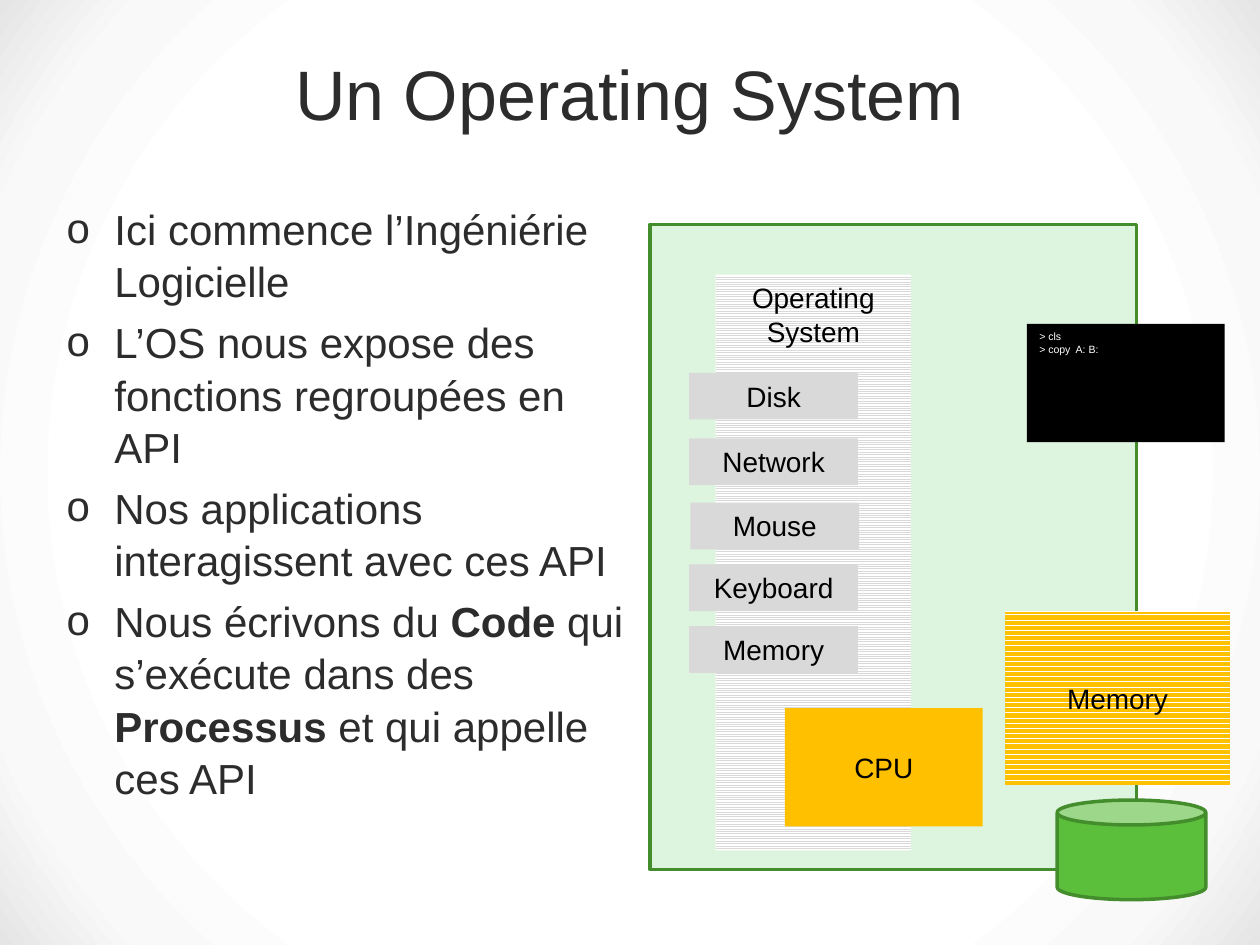
"""Build the "Un Operating System" slide: bullet list beside a layered machine diagram."""
from pptx import Presentation
from pptx.dml.color import RGBColor
from pptx.enum.dml import MSO_PATTERN
from pptx.enum.shapes import MSO_SHAPE
from pptx.enum.text import MSO_ANCHOR, PP_ALIGN
from pptx.oxml import parse_xml
from pptx.oxml.ns import nsdecls
from pptx.util import Inches, Pt

FONT = "Arial"
INK = RGBColor(0x2C, 0x2C, 0x2C)
BLACK = RGBColor(0, 0, 0)
WHITE = RGBColor(0xFF, 0xFF, 0xFF)
GRAY = RGBColor(0xD9, 0xD9, 0xD9)
AMBER = RGBColor(0xFF, 0xC0, 0x00)
PALE_GREEN = RGBColor(0xDD, 0xF4, 0xDE)
GREEN = RGBColor(0x5C, 0xBF, 0x3C)
DARK_GREEN = RGBColor(0x44, 0x8D, 0x2C)

TITLE = "Un Operating System"
BULLETS = [
    [("Ici commence l’Ingéniérie Logicielle", False)],
    [("L’OS nous expose des fonctions regroupées en API", False)],
    [("Nos applications interagissent avec ces API", False)],
    [("Nous écrivons du ", False), ("Code", True), (" qui s’exécute dans des ", False),
     ("Processus", True), (" et qui appelle ces API", False)],
]
LABEL = {"size": Pt(16), "name": FONT, "color": BLACK}
CONSOLE = {"size": Pt(6), "name": FONT, "color": WHITE}
BODY = {"size": Pt(24), "name": FONT, "color": INK}
HEADING = {"size": Pt(40), "name": FONT, "color": INK}

MACHINE = [
    {"box": (5.16, 1.78, 3.86, 5.12), "fill": PALE_GREEN, "line": DARK_GREEN},
    {"box": (8.39, 6.35, 1.18, 0.79), "fill": GREEN, "line": DARK_GREEN, "kind": MSO_SHAPE.CAN},
    {"box": (8.15, 2.57, 1.57, 0.94), "fill": BLACK, "lines": ["> cls", "> copy  A: B:"],
     "font": CONSOLE, "align": PP_ALIGN.LEFT, "anchor": MSO_ANCHOR.TOP},
    {"box": (5.68, 2.18, 1.55, 4.57), "fill": GRAY, "pattern": MSO_PATTERN.LIGHT_HORIZONTAL,
     "lines": ["Operating System"], "anchor": MSO_ANCHOR.TOP},
    {"box": (7.98, 4.85, 1.78, 1.38), "fill": AMBER, "pattern": MSO_PATTERN.DARK_HORIZONTAL,
     "lines": ["Memory"]},
    {"box": (6.23, 5.62, 1.57, 0.94), "fill": AMBER, "lines": ["CPU"]},
]
DRIVERS = [("Disk", 5.47, 2.96), ("Network", 5.47, 3.48), ("Mouse", 5.48, 3.99),
           ("Keyboard", 5.47, 4.48), ("Memory", 5.47, 4.97)]
DRIVER_SIZE = (1.34, 0.37)

BACKGROUND = f"""<a:gradFill {nsdecls('a')} rotWithShape="1"><a:gsLst>
<a:gs pos="0"><a:srgbClr val="FFFFFF"/></a:gs>
<a:gs pos="68000"><a:srgbClr val="FFFFFF"/></a:gs>
<a:gs pos="86000"><a:srgbClr val="F9F9F9"><a:alpha val="73000"/></a:srgbClr></a:gs>
<a:gs pos="100000"><a:srgbClr val="E5E5E5"/></a:gs></a:gsLst>
<a:path path="circle"><a:fillToRect l="50000" t="50000" r="50000" b="50000"/></a:path>
</a:gradFill>"""


def set_font(font, values):
    for name, value in values.items():
        if name == "color":
            font.color.rgb = value
        else:
            setattr(font, name, value)


def paint_background(slide):
    slide.background.fill.solid()
    properties = slide.background._cSld.bg.bgPr
    properties.replace(properties[0], parse_xml(BACKGROUND))


def add_title(slide):
    title = slide.shapes.title
    title.left, title.top, title.width, title.height = map(Inches, (0.43, 0.21, 9.13, 0.99))
    title.text_frame.vertical_anchor = MSO_ANCHOR.TOP
    title.text_frame.text = TITLE
    paragraph = title.text_frame.paragraphs[0]
    paragraph.alignment = PP_ALIGN.CENTER
    paragraph.line_spacing = Pt(58)
    set_font(paragraph.runs[0].font, HEADING)


def add_bullets(slide):
    frame = slide.shapes.add_textbox(*map(Inches, (0.43, 1.55, 4.64, 5.51))).text_frame
    frame.word_wrap = True
    for index, runs in enumerate(BULLETS):
        paragraph = frame.add_paragraph() if index else frame.paragraphs[0]
        paragraph.line_spacing = 1.04
        paragraph.space_before = Pt(4.8 if index else 0)
        properties = paragraph._p.get_or_add_pPr()
        properties.set("marL", str(Inches(0.38)))
        properties.set("indent", str(Inches(-0.38)))
        properties.append(parse_xml(f'<a:buFont {nsdecls("a")} typeface="{FONT}"/>'))
        properties.append(parse_xml(f'<a:buChar {nsdecls("a")} char="o"/>'))
        for text, bold in runs:
            run = paragraph.add_run()
            run.text = text
            set_font(run.font, {**BODY, "bold": bold})


def add_part(slide, box, fill, line=None, kind=MSO_SHAPE.RECTANGLE, pattern=None, lines=(),
             font=LABEL, align=PP_ALIGN.CENTER, anchor=MSO_ANCHOR.MIDDLE):
    shape = slide.shapes.add_shape(kind, *map(Inches, box))
    shape.shadow.inherit = False
    if pattern is None:
        shape.fill.solid()
        shape.fill.fore_color.rgb = fill
    else:
        shape.fill.patterned()
        shape.fill.pattern = pattern
        shape.fill.fore_color.rgb = fill
        shape.fill.back_color.rgb = WHITE
    if line is None:
        shape.line.fill.background()
    else:
        shape.line.color.rgb = line
        shape.line.width = Pt(2)
    frame = shape.text_frame
    frame.word_wrap = True
    frame.vertical_anchor = anchor
    for index, text in enumerate(lines):
        paragraph = frame.add_paragraph() if index else frame.paragraphs[0]
        paragraph.alignment = align
        run = paragraph.add_run()
        run.text = text
        set_font(run.font, font)


def main():
    presentation = Presentation()
    presentation.slide_width, presentation.slide_height = Inches(10), Inches(7.5)
    slide = presentation.slides.add_slide(presentation.slide_layouts[5])
    paint_background(slide)
    add_title(slide)
    add_bullets(slide)
    for part in MACHINE:
        add_part(slide, **part)
    for name, left, top in DRIVERS:
        add_part(slide, (left, top, *DRIVER_SIZE), GRAY, lines=[name], anchor=MSO_ANCHOR.TOP)
    presentation.save("out.pptx")


if __name__ == "__main__":
    main()
